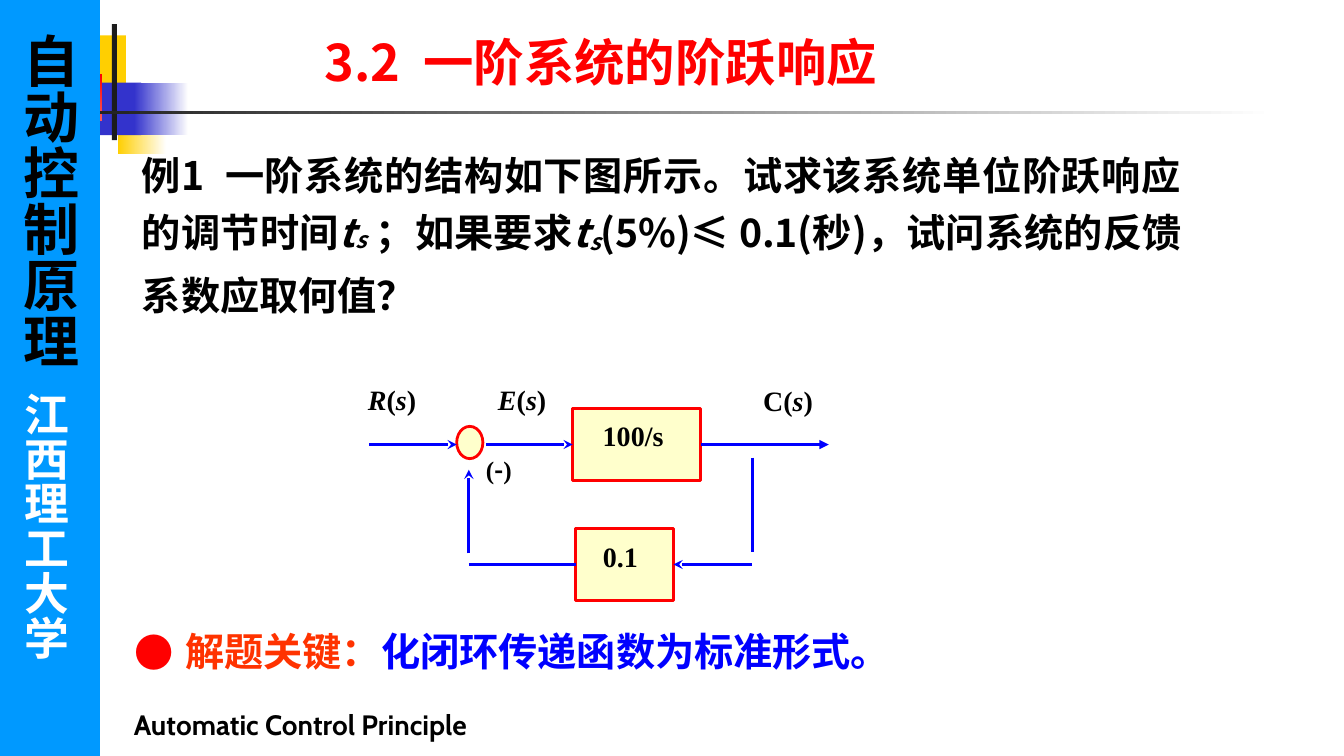
from lxml.etree import SubElement
from pptx import Presentation
from pptx.dml.color import RGBColor
from pptx.enum.shapes import MSO_CONNECTOR, MSO_SHAPE
from pptx.enum.text import MSO_ANCHOR, PP_ALIGN
from pptx.oxml.ns import qn
from pptx.util import Inches, Pt

BLACK = RGBColor(0x00, 0x00, 0x00)
CHARCOAL = RGBColor(0x1C, 0x1C, 0x1C)
WHITE = RGBColor(0xFF, 0xFF, 0xFF)
RED = RGBColor(0xFF, 0x00, 0x00)
ORANGE = RGBColor(0xFF, 0x33, 0x00)
YELLOW = RGBColor(0xFF, 0xCF, 0x01)
CREAM = RGBColor(0xFF, 0xFF, 0xCC)
INDIGO = RGBColor(0x33, 0x33, 0xCC)
BLUE = RGBColor(0x00, 0x00, 0xFF)
SKY = RGBColor(0x00, 0x99, 0xFF)

SANS, SERIF, FOOTER_FONT = "Noto Sans CJK SC", "Times New Roman", "Cabin"

# All lengths are columns and rows of a grid with ten cells to the inch
COLUMNS, ROWS = 133.33, 75

# Ornament: left, top, width, height, colours (two make a gradient), angle
ORNAMENT = [
    (6.1, 3.5, 6.4, 5.2, [YELLOW], 0),
    (11.7, 10.1, 4.8, 5.2, [YELLOW, WHITE], 0),
    (7.9, 8.2, 6.1, 5.2, [INDIGO], 0),
    (13.3, 8.2, 5.4, 5.2, [INDIGO, WHITE], 0),
    (1.9, 7.4, 8.2, 4.6, [WHITE, RED], 45),
    (11.1, 2.4, 0.5, 11.5, [CHARCOAL], 0),
    (6.5, 11, 119.9, 0.3, [CHARCOAL, WHITE], 0),
]

# Runs: text, size, font, colour, italic, baseline shift in percent
TITLE = [("3.2  一阶系统的阶跃响应", 36, SANS, RED)]
PROBLEM = [
    ("例1  一阶系统的结构如下图所示。试求该系统单位阶跃响应的调节时间", 28, SANS, BLACK),
    ("t", 28, SANS, BLACK, True),
    ("s", 28, SANS, BLACK, True, -4),
    (" ；如果要求", 28, SANS, BLACK),
    ("t", 28, SANS, BLACK, True),
    ("s", 28, SANS, BLACK, True, -8),
    ("(5%)≤ 0.1(秒)，试问系统的反馈系数应取何值？", 28, SANS, BLACK),
    (" ", 32, SANS, BLACK),
]
KEY = [("解题关键：", 28, SANS, ORANGE), ("化闭环传递函数为标准形式。", 28, SANS, BLUE)]
FOOTER = [("Automatic Control Principle", 20, FOOTER_FONT, BLACK)]
SIDEBAR = [("自动控制原理", 40, SANS, BLACK), ("  ", 36, SANS, WHITE),
           ("江西理工大学", 32, "Arial", WHITE)]

# Diagram labels: left, top, width, height, size, (text, italic, font) pieces
LABELS = [
    (58.8, 53, 7.9, 6.4, 20, [("0.1", False, SERIF)]),
    (74.7, 37.6, 9, 8, 20, [("C(", False, SERIF), ("s", True, SERIF), (")", False, SERIF)]),
    (35.5, 37.5, 9.4, 9.5, 20,
     [("R", True, SERIF), ("(", False, SERIF), ("s", True, SERIF), (")", False, SERIF)]),
    (48.4, 37.5, 9.8, 6.7, 20,
     [("E", True, SERIF), ("(", False, SERIF), ("s", True, SERIF), (")", False, SERIF)]),
    (58.8, 41, 19.4, 9.5, 20, [("100/s", False, SERIF)]),
    (47.2, 44.6, 12.7, 9.5, 18,
     [("(", False, SERIF), ("-", False, SANS), (")", False, SERIF)]),
]

# Diagram parts: left, top, width, height
PLANT = (56.8, 40.5, 12.7, 7.2)
FEEDBACK = (57.1, 52.4, 9.7, 7.2)
SUMMING = (45.3, 42.3, 2.6, 3.2)
SIGNAL_ROW = PLANT[1] + PLANT[3] / 2
RETURN_ROW = FEEDBACK[1] + FEEDBACK[3] / 2
SUM_COLUMN, TAP_COLUMN = 46.5, 74.6


def build_presentation():
    presentation = Presentation()
    presentation.slide_width, presentation.slide_height = Inches(13.33), Inches(7.5)
    slide = presentation.slides.add_slide(presentation.slide_layouts[6])
    shapes = slide.shapes

    def cells(*lengths):
        return [Inches(length / 10) for length in lengths]

    def add_runs(paragraph, runs):
        for text, size, name, colour, *style in runs:
            italic, shift = (style + [False, 0][len(style):])
            run = paragraph.add_run()
            run.text = text
            font = run.font
            font.size, font.name, font.bold, font.italic = Pt(size), name, True, italic
            font.color.rgb = colour
            properties = font._element
            SubElement(properties, qn("a:ea")).set("typeface", name)
            if shift:
                properties.set("baseline", str(shift * 1000))

    def add_text(box, runs, align=PP_ALIGN.LEFT):
        frame = shapes.add_textbox(*cells(*box)).text_frame
        frame.word_wrap = True
        paragraph = frame.paragraphs[0]
        paragraph.alignment = align
        add_runs(paragraph, runs)
        return paragraph

    def add_block(kind, box, colours, angle=0, outline=None):
        shape = shapes.add_shape(kind, *cells(*box))
        shape.shadow.inherit = False
        if len(colours) == 1:
            shape.fill.solid()
            shape.fill.fore_color.rgb = colours[0]
        else:
            shape.fill.gradient()
            shape.fill.gradient_angle = angle
            for stop, colour in zip(shape.fill.gradient_stops, colours):
                stop.color.rgb = colour
        if outline is None:
            shape.line.fill.background()
        else:
            shape.line.color.rgb = outline
            shape.line.width = Pt(2)
        return shape

    def add_wire(start, end, head=None, source=None, target=None):
        wire = shapes.add_connector(MSO_CONNECTOR.STRAIGHT, *cells(*start, *end))
        if source:
            wire.begin_connect(*source)
        if target:
            wire.end_connect(*target)
        wire.line.color.rgb = BLUE
        wire.line.width = Pt(2.25)
        if head:
            SubElement(wire.line._get_or_add_ln(), qn("a:tailEnd")).set("type", head)
        SubElement(wire._element.spPr, qn("a:effectLst"))

    # Ornament behind the title
    for *box, colours, angle in ORNAMENT:
        add_block(MSO_SHAPE.RECTANGLE, box, colours, angle)

    # Problem statement
    problem = add_text((11, 13.6, 107.2, 18.4), PROBLEM, PP_ALIGN.JUSTIFY)
    problem.line_spacing = 1.2
    problem._p.get_or_add_pPr().set("marL", str(Inches(0.21)))

    # Block diagram
    plant = add_block(MSO_SHAPE.RECTANGLE, PLANT, [CREAM], outline=RED)
    feedback = add_block(MSO_SHAPE.RECTANGLE, FEEDBACK, [CREAM], outline=RED)
    for *box, size, pieces in LABELS:
        add_text(box, [(text, size, name, BLACK, italic) for text, italic, name in pieces],
                 PP_ALIGN.JUSTIFY)
    add_block(MSO_SHAPE.OVAL, SUMMING, [CREAM], outline=RED)

    plant_right = PLANT[0] + PLANT[2]
    feedback_right = FEEDBACK[0] + FEEDBACK[2]
    add_wire((36.6, SIGNAL_ROW), (SUMMING[0], SIGNAL_ROW), "stealth")
    add_wire((48.2, SIGNAL_ROW), (PLANT[0], SIGNAL_ROW), "stealth", target=(plant, 1))
    add_wire((plant_right, SIGNAL_ROW), (82.2, SIGNAL_ROW), "triangle", source=(plant, 3))
    add_wire((TAP_COLUMN, 45.4), (TAP_COLUMN, 54.8))
    add_wire((TAP_COLUMN, RETURN_ROW), (feedback_right, RETURN_ROW), "stealth",
             target=(feedback, 3))
    add_wire((SUM_COLUMN, RETURN_ROW), (FEEDBACK[0], RETURN_ROW), target=(feedback, 1))
    add_wire((SUM_COLUMN, 54.9), (SUM_COLUMN, 46.6), "stealth")

    # Key to the solution, with a red bullet
    key = add_text((12.4, 61.7, 81.9, 5.7), KEY)
    properties = key._p.get_or_add_pPr()
    properties.set("marL", str(Inches(0.5)))
    properties.set("indent", str(-Inches(0.5)))
    bullet_colour = SubElement(properties, qn("a:buClr"))
    SubElement(bullet_colour, qn("a:srgbClr")).set("val", str(RED))
    SubElement(properties, qn("a:buFont")).set("typeface", SANS)
    SubElement(properties, qn("a:buChar")).set("char", "●")

    # Footer, sidebar and title
    add_text((12.3, 69.7, 49.7, 4.3), FOOTER)
    sidebar = add_block(MSO_SHAPE.RECTANGLE, (0, 0, 9.9, ROWS), [SKY])
    frame = sidebar.text_frame
    frame.margin_left = frame.margin_right = Inches(0.16)
    frame.margin_top, frame.margin_bottom = Inches(0.33), Inches(0.05)
    frame.vertical_anchor = MSO_ANCHOR.MIDDLE
    frame._txBody.bodyPr.set("vert", "eaVert")
    frame.paragraphs[0].alignment = PP_ALIGN.LEFT
    add_runs(frame.paragraphs[0], SIDEBAR)
    add_text((31.2, 2.6, 80.4, 9.7), TITLE)

    presentation.save("out.pptx")


if __name__ == "__main__":
    build_presentation()
